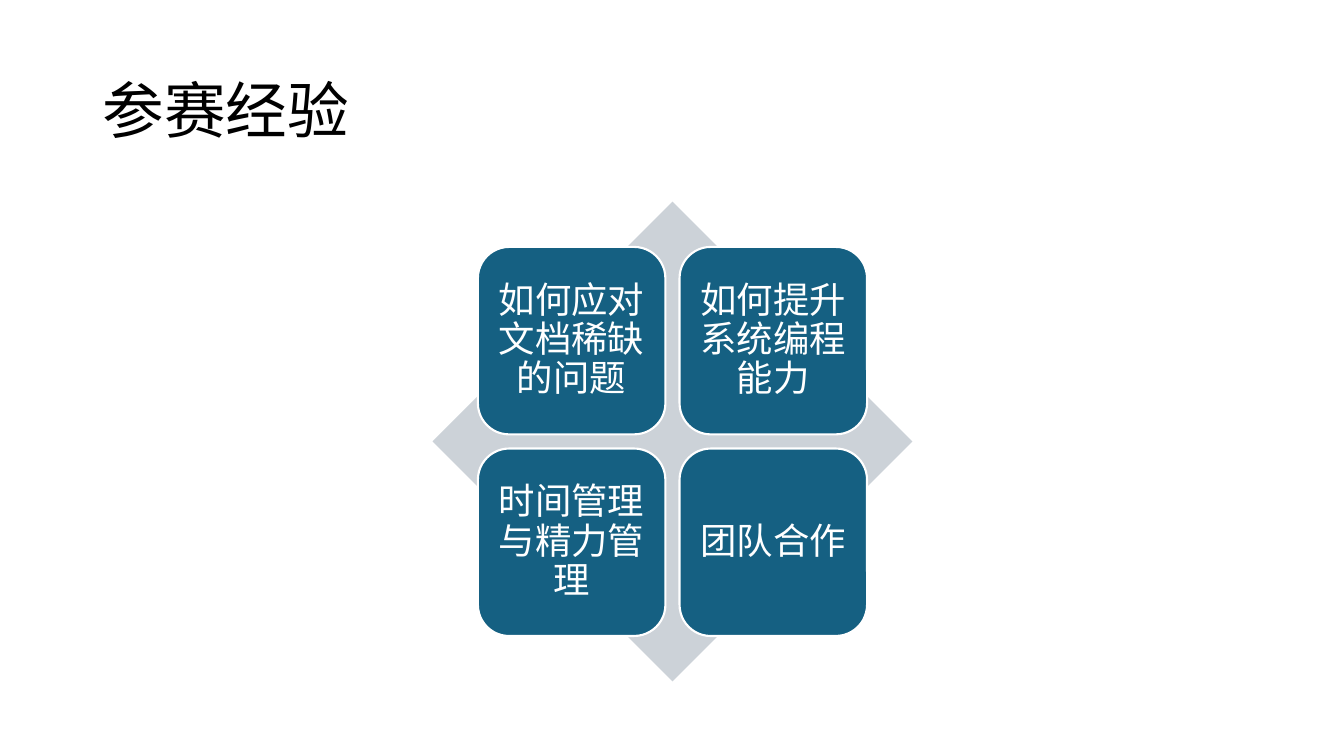
from lxml import etree
from pptx import Presentation
from pptx.dml.color import RGBColor
from pptx.enum.shapes import MSO_SHAPE
from pptx.enum.text import MSO_ANCHOR, PP_ALIGN
from pptx.oxml.ns import qn
from pptx.util import Inches, Pt

DIAMOND = MSO_SHAPE.DIAMOND
ROUNDED = MSO_SHAPE.ROUNDED_RECTANGLE
MIDDLE = MSO_ANCHOR.MIDDLE
LEFT, CENTER = PP_ALIGN.LEFT, PP_ALIGN.CENTER

BLACK = RGBColor(0x00, 0x00, 0x00)
WHITE = RGBColor(0xFF, 0xFF, 0xFF)
TEAL = RGBColor(0x15, 0x60, 0x82)
GREY = RGBColor(0xCC, 0xD2, 0xD8)


class SlideBuilder:
    """Holds the text style and the current slide."""

    font = "Noto Sans CJK SC"
    line_spacing = 0.9

    def __init__(self, page):
        self.page = page

    def add_text(self, frame, text, size, color, align):
        frame.word_wrap = True
        frame.vertical_anchor = MIDDLE
        para = frame.paragraphs[0]
        para.alignment = align
        para.line_spacing = self.line_spacing
        span = para.add_run()
        span.text = text
        span.font.size = Pt(size)
        span.font.color.rgb = color
        span.font.name = self.font
        # East Asian glyphs take their own font entry
        east_asian = etree.SubElement(span.font._element, qn("a:ea"))
        east_asian.set("typeface", self.font)

    def title(self, text, left, top, width, height):
        box = self.page.shapes.add_textbox(
            Inches(left), Inches(top), Inches(width), Inches(height))
        self.add_text(box.text_frame, text, 44, BLACK, LEFT)

    def square_shape(self, kind, left, top, side, fill):
        shape = self.page.shapes.add_shape(
            kind, Inches(left), Inches(top), Inches(side), Inches(side))
        shape.shadow.inherit = False
        shape.fill.solid()
        shape.fill.fore_color.rgb = fill
        shape.line.fill.background()
        return shape

    def card(self, text, left, top, side):
        card = self.square_shape(ROUNDED, left, top, side, TEAL)
        card.line.color.rgb = WHITE
        card.line.width = Pt(1.5)
        frame = card.text_frame
        frame.margin_left = frame.margin_right = Inches(0.11)
        frame.margin_top = frame.margin_bottom = Inches(0.11)
        self.add_text(frame, text, 26, WHITE, CENTER)


def main():
    deck = Presentation()
    deck.slide_width, deck.slide_height = Inches(13.33), Inches(7.5)
    page = deck.slides.add_slide(deck.slide_layouts[6])
    builder = SlideBuilder(page)

    # Title
    builder.title("参赛经验", 0.92, 0.4, 11.5, 1.45)

    # Diamond behind the cards
    builder.square_shape(DIAMOND, 4.29, 2, 4.76, GREY)

    # Two by two grid of topics
    topics = ["如何应对文档稀缺的问题", "如何提升系统编程能力",
              "时间管理与精力管理", "团队合作"]
    side, pitch = 1.86, 2
    for index, topic in enumerate(topics):
        row, column = divmod(index, 2)
        builder.card(topic, 4.74 + column * pitch, 2.45 + row * pitch, side)

    deck.save("out.pptx")


if __name__ == "__main__":
    main()
